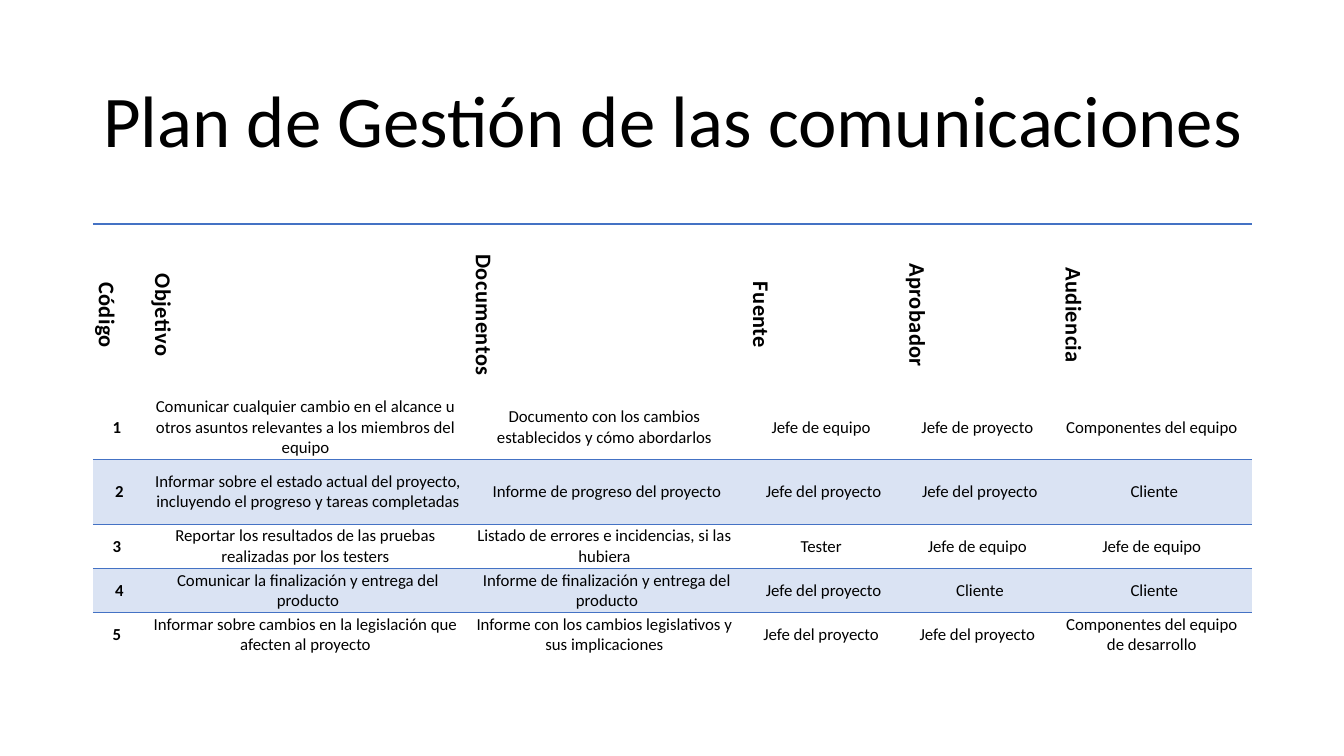
import pptx
import pptx.dml.color
import pptx.enum.text
import pptx.oxml
import pptx.oxml.ns
import pptx.util
import lxml.etree

Inches = pptx.util.Inches
Pt = pptx.util.Pt
MIDDLE = pptx.enum.text.MSO_ANCHOR.MIDDLE
CENTER = pptx.enum.text.PP_ALIGN.CENTER

HUES = {"text": "000000", "line": "4472C4", "band": "DAE3F3"}
PLAIN = "{2D5ABB26-0587-4C30-8999-92F81FD0307C}"
TITLE = "Plan de Gestión de las comunicaciones"
HEADS = ["Código", "Objetivo", "Documentos", "Fuente", "Aprobador", "Audiencia"]
PLANS = [
    ["1", "Comunicar cualquier cambio en el alcance u otros asuntos relevantes a los miembros del equipo",
     "Documento con los cambios establecidos y cómo abordarlos",
     "Jefe de equipo", "Jefe de proyecto", "Componentes del equipo"],
    ["2", "Informar sobre el estado actual del proyecto, incluyendo el progreso y tareas completadas",
     "Informe de progreso del proyecto",
     "Jefe del proyecto", "Jefe del proyecto", "Cliente"],
    ["3", "Reportar los resultados de las pruebas realizadas por los testers",
     "Listado de errores e incidencias, si las hubiera",
     "Tester", "Jefe de equipo", "Jefe de equipo"],
    ["4", "Comunicar la finalización y entrega del producto",
     "Informe de finalización y entrega del producto",
     "Jefe del proyecto", "Cliente", "Cliente"],
    ["5", "Informar sobre cambios en la legislación que afecten al proyecto",
     "Informe con los cambios legislativos y sus implicaciones",
     "Jefe del proyecto", "Jefe del proyecto", "Componentes del equipo de desarrollo"],
]
WIDTHS = [0.56, 3.18, 2.75, 1.55, 1.55, 1.91]
HEIGHTS = [1.7, 0.64, 0.64, 0.44, 0.44, 0.44]


def color(name):
    return pptx.dml.color.RGBColor.from_string(HUES[name])


def write(frame, text, size=12, bold=False, lead=None, space=0, indent=0):
    para = frame.paragraphs[0]
    para.alignment = CENTER
    if lead:
        para.line_spacing = lead
    if indent:
        para._p.get_or_add_pPr().set("marL", str(Inches(indent)))
    run = para.add_run()
    run.text = text
    font = run.font
    font.name, font.size, font.bold = "Calibri", Pt(size), bold
    font.color.rgb = color("text")
    if space:
        run._r.get_or_add_rPr().set("spc", str(round(space * 100)))


def rule(cell, width):
    """Draw a line along the top of a cell."""
    line = pptx.oxml.parse_xml(
        f'<a:lnT {pptx.oxml.ns.nsdecls("a")} w="{Pt(width)}"><a:solidFill>'
        f'<a:srgbClr val="{HUES["line"]}"/></a:solidFill></a:lnT>')
    cell._tc.get_or_add_tcPr().insert(0, line)


def heading(slide, left, top, width, height):
    shape = slide.shapes.title
    shape.left, shape.top = Inches(left), Inches(top)
    shape.width, shape.height = Inches(width), Inches(height)
    frame = shape.text_frame
    frame.word_wrap = True
    frame.auto_size = pptx.enum.text.MSO_AUTO_SIZE.NONE
    frame.vertical_anchor = MIDDLE
    write(frame, TITLE, size=52, lead=0.9)


def grid(slide, left, top, width, height):
    rows = [HEADS] + PLANS
    shape = slide.shapes.add_table(
        len(rows), len(HEADS), Inches(left), Inches(top), Inches(width), Inches(height))
    table = shape.table
    table.horz_banding = False
    table.first_row = False
    table._tbl.tblPr.find(pptx.oxml.ns.qn("a:tableStyleId")).text = PLAIN

    # Columns and rows share out the box
    for col, part in zip(table.columns, WIDTHS):
        col.width = Inches(width * part / sum(WIDTHS))
    for row, part in zip(table.rows, HEIGHTS):
        row.height = Inches(height * part / sum(HEIGHTS))

    for i, texts in enumerate(rows):
        head = i == 0
        band = not head and i % 2 == 0
        for j, text in enumerate(texts):
            cell = table.cell(i, j)
            cell.vertical_anchor = MIDDLE
            cell.margin_top = cell.margin_bottom = 0
            cell.margin_left = Inches(0.05 if band else 0)
            cell.margin_right = Inches(0.01 if head else 0.08)
            cell.fill.background()
            # Turned header, then shaded even rows
            if head:
                cell._tc.get_or_add_tcPr().set("vert", "vert")
                write(cell.text_frame, text, size=16, bold=True, space=0.3, indent=0.12)
                rule(cell, 1.5)
            else:
                write(cell.text_frame, text, bold=j == 0)
            if band:
                cell.fill.solid()
                cell.fill.fore_color.rgb = color("band")
                rule(cell, 0.75)


def main():
    deck = pptx.Presentation()
    deck.slide_width, deck.slide_height = Inches(13.33), Inches(7.5)
    slide = deck.slides.add_slide(deck.slide_layouts[5])
    heading(slide, 0.92, 0.61, 11.5, 1.24)
    grid(slide, 0.92, 2.22, 11.5, 4.3)
    deck.save("out.pptx")


if __name__ == "__main__":
    main()
